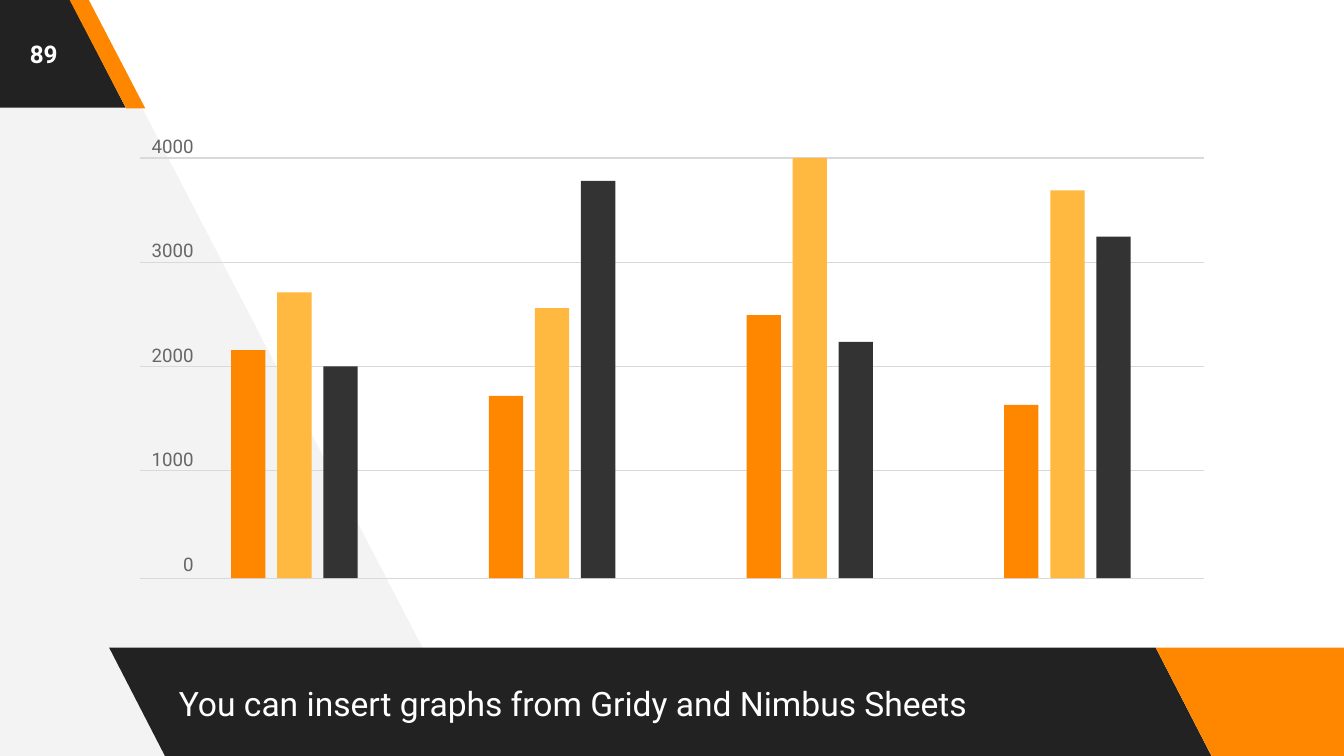
from lxml import etree
from pptx import Presentation
from pptx.dml.color import RGBColor
from pptx.enum.shapes import MSO_CONNECTOR, MSO_SHAPE
from pptx.enum.text import MSO_ANCHOR, MSO_AUTO_SIZE, PP_ALIGN
from pptx.oxml.ns import qn
from pptx.util import Pt

STRAIGHT = MSO_CONNECTOR.STRAIGHT
PARALLELOGRAM, RECTANGLE = MSO_SHAPE.PARALLELOGRAM, MSO_SHAPE.RECTANGLE
TOP, MIDDLE = MSO_ANCHOR.TOP, MSO_ANCHOR.MIDDLE
LEFT, CENTER, RIGHT = PP_ALIGN.LEFT, PP_ALIGN.CENTER, PP_ALIGN.RIGHT

FONT = "Roboto"
COLORS = {
    "white": "FFFFFF", "pale": "F3F3F3", "grid": "D9D9D9", "label": "666666",
    "black": "222222", "orange": "FF8700", "amber": "FFB840", "charcoal": "333333",
}
BAR_COLORS = ("orange", "amber", "charcoal")
GROUPS = [
    (2170, 2720, 2015),
    (1735, 2570, 3780),
    (2505, 4000, 2250),
    (1650, 3690, 3250),
]
GRID_Y = (84.6, 140.6, 196.4, 252.2, 309.8)
BAR_X, BAR_WIDTH, BAR_STEP, GROUP_STEP = 123.8, 18.4, 24.7, 138.05


def rgb(name):
    """Return the colour with this name."""
    return RGBColor.from_string(COLORS[name])


def write(sp, lines, size=10, color="white", bold=False, align=LEFT,
          anchor=TOP, inset=0, before=0, gap=0, after=0):
    """Write lines as paragraphs; gap separates them, after follows the last."""
    tf = sp.text_frame
    tf.word_wrap = True
    tf.auto_size = MSO_AUTO_SIZE.NONE
    tf.vertical_anchor = anchor
    tf.margin_left = tf.margin_right = tf.margin_top = tf.margin_bottom = Pt(inset)
    for i, line in enumerate(lines):
        p = tf.add_paragraph() if i else tf.paragraphs[0]
        p.alignment = align
        p.space_before = Pt(gap if i else before)
        p.space_after = Pt(after if i == len(lines) - 1 else 0)
        r = p.add_run()
        r.text = line
        r.font.name, r.font.size, r.font.bold = FONT, Pt(size), bold
        r.font.color.rgb = rgb(color)


class Deck:
    """Holds the slide and draws its elements in the deck's style."""

    def __init__(self, prs):
        """Add a title-only slide."""
        self.s = prs.slides.add_slide(prs.slide_layouts[5])

    def paint(self, sp, color):
        """Give a shape a flat fill without line or shadow."""
        sp.shadow.inherit = False
        sp.fill.solid()
        sp.fill.fore_color.rgb = rgb(color)
        sp.line.fill.background()

    def outline(self, points, color):
        """Draw a filled polygon."""
        start, *rest = [(Pt(x), Pt(y)) for x, y in points]
        builder = self.s.shapes.build_freeform(*start)
        builder.add_line_segments(rest, close=True)
        self.paint(builder.convert_to_shape(), color)

    def shape(self, kind, x, y, w, h, color):
        """Draw a filled preset shape."""
        sp = self.s.shapes.add_shape(kind, Pt(x), Pt(y), Pt(w), Pt(h))
        self.paint(sp, color)
        return sp

    def slant(self, x, y, w, h, color, adj=0.515):
        """Draw a parallelogram that leans to the left."""
        sp = self.shape(PARALLELOGRAM, x, y, w, h, color)
        sp.adjustments[0] = adj
        sp._element.spPr.find(qn("a:xfrm")).set("flipH", "1")

    def title(self, x, y, w, h, text, **fmt):
        """Place the title in front of the shapes drawn so far."""
        sp = self.s.shapes.title
        sp.left, sp.top, sp.width, sp.height = Pt(x), Pt(y), Pt(w), Pt(h)
        self.s.shapes._spTree.append(sp._element)
        write(sp, [text], **fmt)

    def text(self, x, y, w, h, lines, **fmt):
        """Add a text box."""
        write(self.s.shapes.add_textbox(Pt(x), Pt(y), Pt(w), Pt(h)), lines, **fmt)

    def rule(self, x1, x2, y, color):
        """Draw a thin horizontal line."""
        line = self.s.shapes.add_connector(STRAIGHT, Pt(x1), Pt(y), Pt(x2), Pt(y))
        line.line.color.rgb = rgb(color)
        line.line.width = Pt(0.75)
        etree.SubElement(line._element.spPr, qn("a:effectLst"))

    def bars(self, groups, top, base, maximum):
        """Draw grouped bars whose heights follow their values."""
        for i, values in enumerate(groups):
            for j, (value, color) in enumerate(zip(values, BAR_COLORS)):
                x = BAR_X + i * GROUP_STEP + j * BAR_STEP
                h = (base - top) * value / maximum
                self.shape(RECTANGLE, x, base - h, BAR_WIDTH, h, color)


def main():
    """Build the slide and save it."""
    prs = Presentation()
    prs.slide_width, prs.slide_height = Pt(720), Pt(405)
    deck = Deck(prs)

    deck.outline([(256.3, 404.6), (44.6, -2.9), (-4.3, -2.9), (-1.4, 407.5)], "pale")
    deck.slant(58.5, 347, 591, 59, "black")
    deck.slant(619.2, 347, 138.2, 59, "orange")
    deck.slant(-70.9, -1.4, 138.2, 59, "black")
    deck.slant(36.9, -0.9, 41, 59, "orange", adj=0.75)

    deck.title(88.6, 347, 530.6, 59,
               "You can insert graphs from Gridy and Nimbus Sheets",
               size=18, anchor=MIDDLE, inset=7.2, before=3.6)
    deck.text(0, 0, 46.8, 57.6, ["89"], size=13, bold=True,
              align=CENTER, anchor=MIDDLE, inset=7.2)

    for y in GRID_Y:
        deck.rule(74.9, 645.1, y, "grid")
    deck.text(74.9, 72, 28.8, 238.3, [str(n) for n in range(4000, -1, -1000)],
              color="label", align=RIGHT, gap=44, after=44)
    deck.bars(GROUPS, GRID_Y[0], GRID_Y[-1], 4000)

    prs.save("out.pptx")


main()
